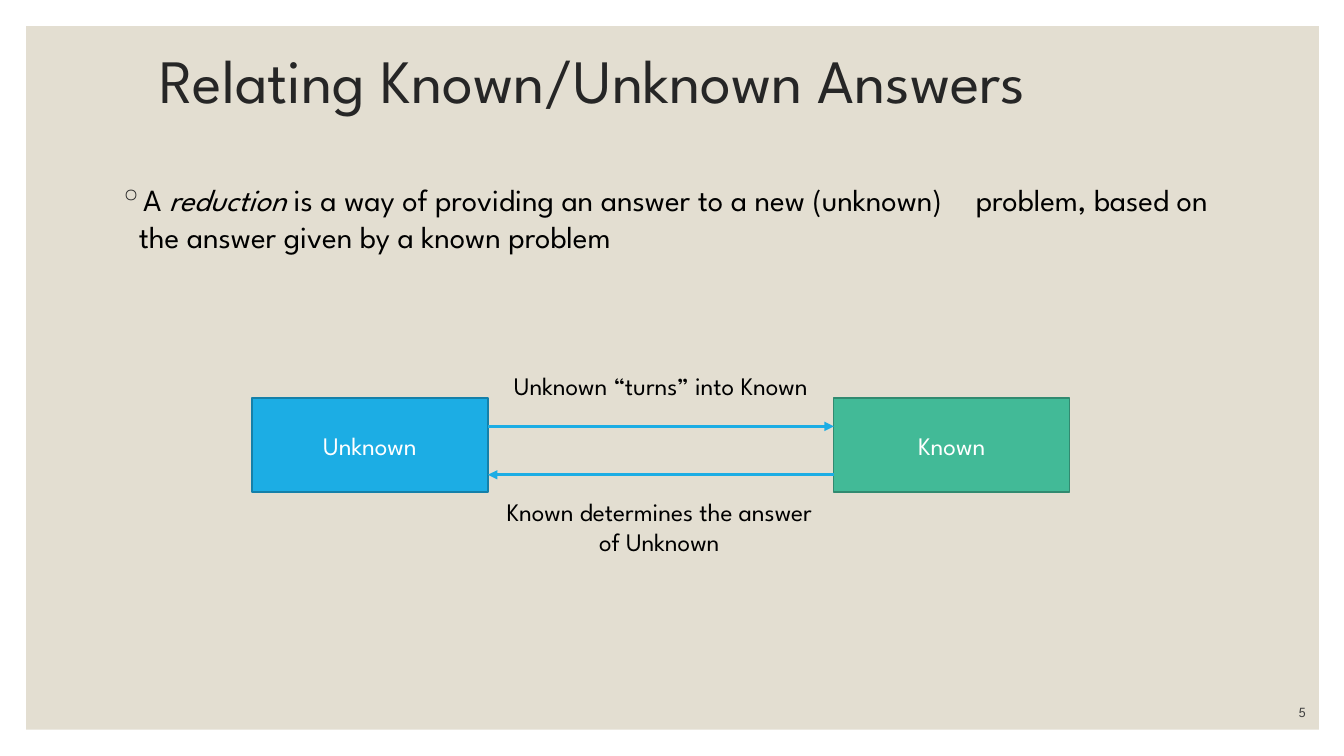
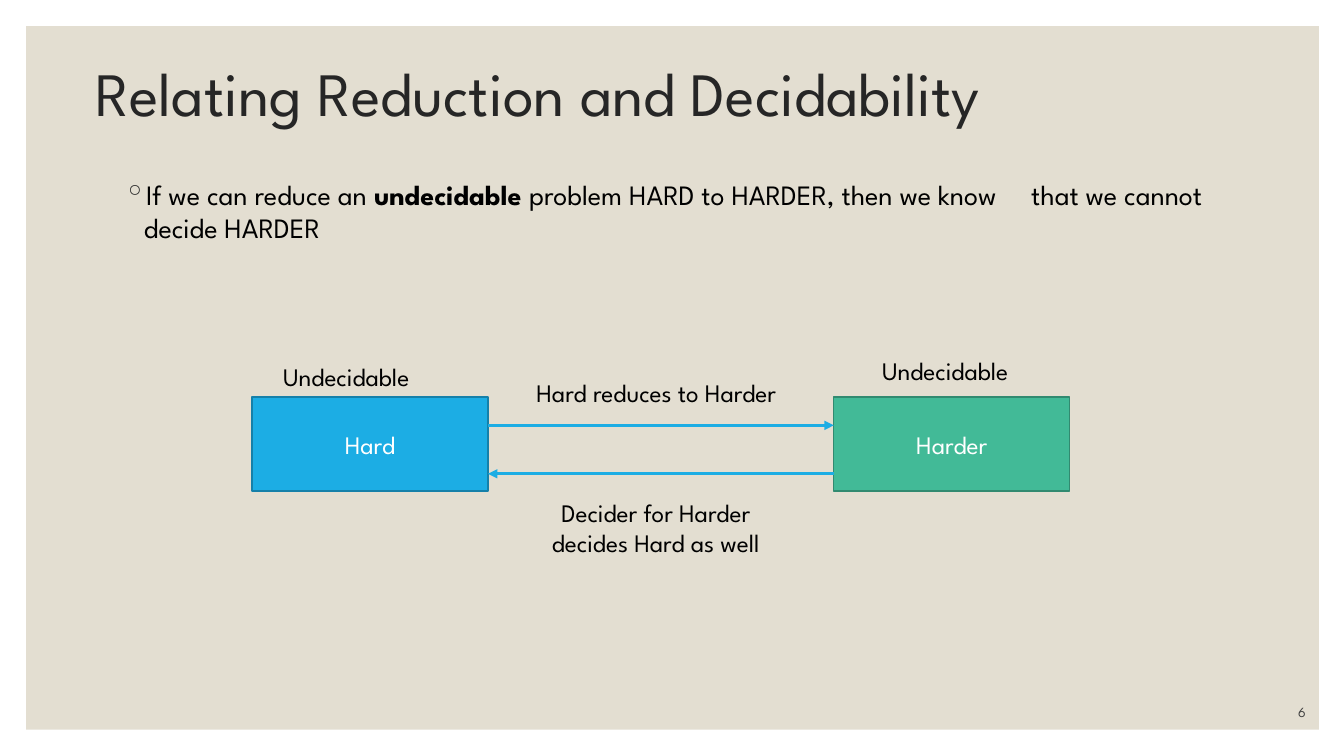
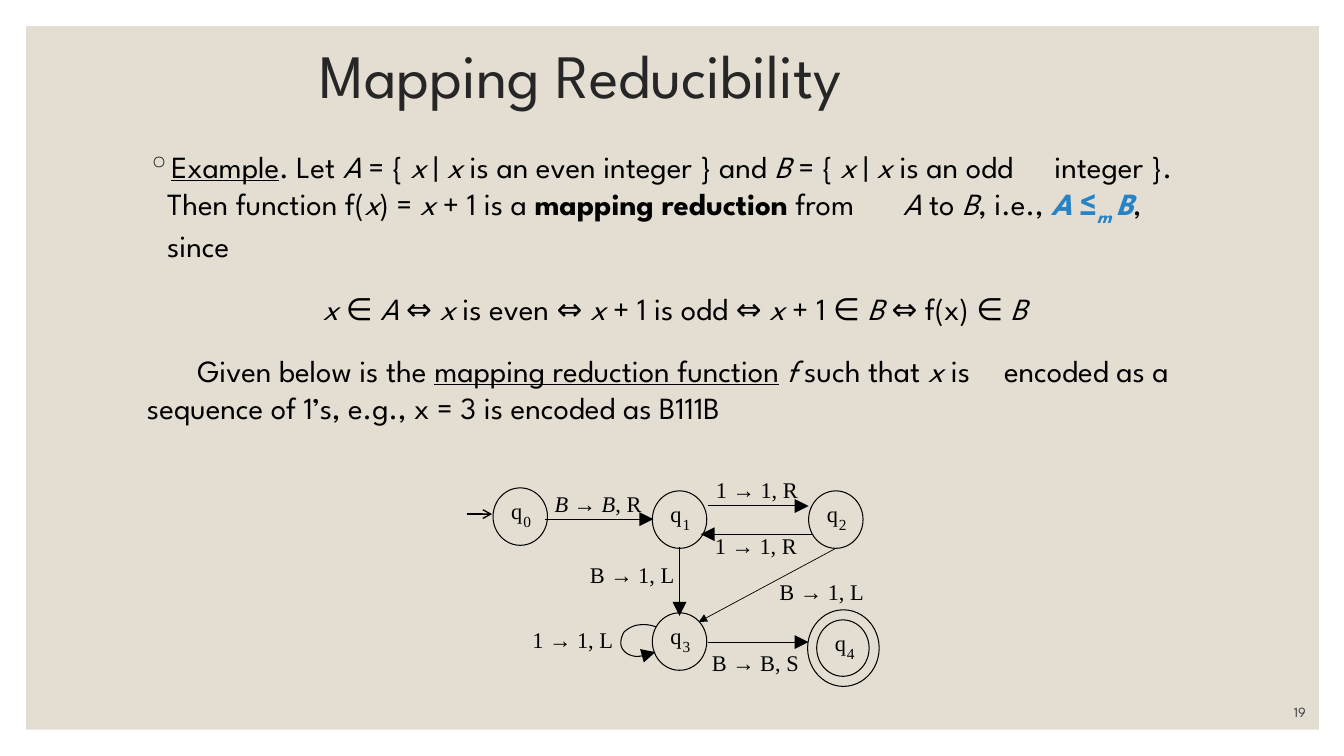
from pptx import Presentation
from pptx.dml.color import RGBColor
from pptx.enum.shapes import MSO_CONNECTOR as Link, MSO_SHAPE as Preset
from pptx.enum.text import MSO_ANCHOR as Anchor, PP_ALIGN as Align
from pptx.oxml.ns import qn
from pptx.util import Emu, Pt
from lxml.etree import SubElement

PX = 9144  # 100 px to the inch
SANS, SERIF = "League Spartan", "Times New Roman"
BLACK, WHITE, INK, GREY = "000000", "FFFFFF", "262626", "404040"
SAND, ACCENT = "E3DED1", "2683C6"
BLUE, BLUE_EDGE = "1CADE4", "1580A9"
GREEN, GREEN_EDGE = "42BA97", "318A70"
NODE_W, NODE_H, NODE_STEP = 234, 93, 577
STATE_W, STATE_H = 54, 57


def px(value):
    return Emu(round(value * PX))


def rgb(value):
    return RGBColor.from_string(value)


def set_all(target, values):
    for name, value in values.items():
        setattr(target, name, value)


def add_spans(para, spans, size, color=BLACK, font=SANS):
    """Each span is a string or (string, flags): b, i, u, s subscript, c accent."""
    for item in [spans] if isinstance(spans, str) else spans:
        words, flags = (item, "") if isinstance(item, str) else item
        span = para.add_run()
        span.text = words
        look = {"name": font, "size": Pt(size)}
        for flag, name in (("b", "bold"), ("i", "italic"), ("u", "underline")):
            if flag in flags:
                look[name] = True
        set_all(span.font, look)
        span.font.color.rgb = rgb(ACCENT if "c" in flags else color)
        if "s" in flags:
            span.font._element.set("baseline", "-25000")


def add_text(page, box, spans, size, color=BLACK, font=SANS, align=Align.LEFT,
             anchor=Anchor.TOP, tight=False, spacing=None):
    """A tight box has no margins and does not wrap."""
    frame = page.shapes.add_textbox(*map(px, box)).text_frame
    set_all(frame, {"word_wrap": not tight, "vertical_anchor": anchor})
    if tight:
        sides = ("left", "top", "right", "bottom")
        set_all(frame, {f"margin_{side}": 0 for side in sides})
    para = frame.paragraphs[0]
    set_all(para, {"alignment": align, "line_spacing": spacing})
    add_spans(para, spans, size, color, font)


def add_shape(page, preset, box, fill=None, edge=None, width=1):
    shape = page.shapes.add_shape(preset, *map(px, box))
    paint(shape, fill, edge, width)
    return shape


def paint(shape, fill, edge, width):
    shape.shadow.inherit = False
    if fill:
        shape.fill.solid()
        shape.fill.fore_color.rgb = rgb(fill)
    else:
        shape.fill.background()
    if edge:
        shape.line.color.rgb = rgb(edge)
        shape.line.width = Pt(width)
    else:
        shape.line.fill.background()


def add_head(shape, head, size):
    line = shape.element.spPr.find(qn("a:ln"))
    SubElement(line, qn("a:tailEnd"), type=head, w=size, len=size)


def add_arrow(page, start, end, color, width, head="triangle", size="med"):
    arrow = page.shapes.add_connector(Link.STRAIGHT, *map(px, (*start, *end)))
    arrow.line.color.rgb = rgb(color)
    arrow.line.width = Pt(width)
    add_head(arrow, head, size)
    SubElement(arrow.element.spPr, qn("a:effectLst"))


def add_page(deck, title, title_box, number):
    page = deck.slides.add_slide(deck.slide_layouts[6])
    add_shape(page, Preset.RECTANGLE, (26, 26, 1282, 698), SAND)
    add_text(page, title_box, title, 44, INK, anchor=Anchor.MIDDLE, spacing=0.9)
    add_text(page, (1145, 690, 160, 30), str(number), 10, GREY,
             align=Align.RIGHT, anchor=Anchor.BOTTOM)
    return page


def add_bullet(para):
    props = para._p.get_or_add_pPr()
    props.set("marL", str(px(20)))
    props.set("indent", str(px(-20)))
    color = SubElement(props, qn("a:buClr"))
    SubElement(color, qn("a:srgbClr"), val=INK)
    SubElement(props, qn("a:buChar"), char="◦")


def add_body(page, box, size, paras):
    """The first paragraph has a bullet; each one is (format values, spans)."""
    frame = page.shapes.add_textbox(*map(px, box)).text_frame
    frame.word_wrap = True
    for index, (values, spans) in enumerate(paras):
        para = frame.add_paragraph() if index else frame.paragraphs[0]
        set_all(para, values)
        if index == 0:
            add_bullet(para)
        add_spans(para, spans, size)


def add_reduction(page, left, top, names, labels):
    """Two nodes joined both ways; labels are placed relative to the first node."""
    colors = ((BLUE, BLUE_EDGE), (GREEN, GREEN_EDGE))
    for index, (name, (fill, edge)) in enumerate(zip(names, colors)):
        box = (left + index * NODE_STEP, top, NODE_W, NODE_H)
        node = add_shape(page, Preset.RECTANGLE, box, fill, edge)
        node.text_frame.vertical_anchor = Anchor.MIDDLE
        para = node.text_frame.paragraphs[0]
        para.alignment = Align.CENTER
        add_spans(para, name, 18, WHITE)
    near, far = left + NODE_W, left + NODE_STEP
    add_arrow(page, (near, top + 28), (far, top + 28), BLUE, 2.25)
    add_arrow(page, (far, top + 76), (near, top + 76), BLUE, 2.25)
    for (x, y, width, height), words, align in labels:
        add_text(page, (left + x, top + y, width, height), words, 18, align=align)


def add_state(page, left, top, digit, width=STATE_W, height=STATE_H):
    add_shape(page, Preset.OVAL, (left, top, width, height), None, BLACK, 0.75)
    for x, y, w, h, letter, size in ((18, 9, 12, 30, "q", 16),
                                     (30, 24, 8, 20, str(digit), 11)):
        add_text(page, (left + x, top + y, w, h), letter, size, font=SERIF, tight=True)


def curve_points(start, curves, steps=8):
    """Points along a chain of cubic curves, without the start."""
    points = []
    for curve in curves:
        a, b, c, d = start, *curve
        for step in range(1, steps + 1):
            t = step / steps
            s = 1 - t
            points.append(tuple(
                s**3 * a[k] + 3 * s * s * t * b[k] + 3 * s * t * t * c[k] + t**3 * d[k]
                for k in (0, 1)))
        start = curve[-1]
    return points


def add_loop(page, left, top):
    start = (188, 150)
    curves = (((182, 148), (176, 147), (171, 148)),
              ((166, 148), (159, 152), (156, 155)),
              ((154, 158), (151, 166), (154, 171)),
              ((156, 175), (160, 178), (166, 179)),
              ((169, 180), (174, 179), (187, 175)))
    outline = page.shapes.build_freeform(*map(px, start), scale=1.0)
    points = [tuple(map(px, point)) for point in curve_points(start, curves)]
    outline.add_line_segments(points, close=False)
    loop = outline.convert_to_shape(px(left), px(top))
    paint(loop, None, BLACK, 0.75)
    add_head(loop, "triangle", "lg")


def add_machine(page, left, top):
    def place(point):
        return left + point[0], top + point[1]

    for digit, spot in enumerate(((26, 12), (184, 15), (339, 15), (184, 136))):
        add_state(page, *place(spot), digit)
    add_state(page, *place((347, 143)), 4, 52, 56)
    add_shape(page, Preset.OVAL, (*place((338, 133)), 71, 76), None, BLACK, 0.75)

    for start, end in (((78, 43), (185, 43)), ((239, 30), (339, 30)),
                       ((342, 58), (232, 58)), ((211, 71), (211, 139)),
                       ((239, 165), (339, 165))):
        add_arrow(page, place(start), place(end), BLACK, 0.75, size="lg")
    add_arrow(page, place((0, 38)), place((25, 38)), BLACK, 1, "arrow")
    add_arrow(page, place((366, 72)), place((230, 145)), BLACK, 0.5)
    add_loop(page, left, top)

    first_move = [("B", "i"), " → ", ("B", "i"), ", R"]
    for spot, width, words in (((87, 14), 90, first_move),
                               ((247, 0), 82, "1 → 1, R"),
                               ((246, 56), 82, "1 → 1, R"),
                               ((122, 85), 85, "B → 1, L"),
                               ((310, 102), 85, "B → 1, L"),
                               ((65, 149), 81, "1 → 1, L"),
                               ((243, 172), 88, "B → B, S")):
        add_text(page, (*place(spot), width, 27), words, 16, font=SERIF, tight=True)


def add_answers_page(deck):
    page = add_page(deck, "Relating Known/Unknown Answers", (148, 35, 1040, 96), 5)
    add_body(page, (108, 174, 1100, 430), 22, [({"space_before": Pt(9)}, [
        "A ", ("reduction", "i"),
        " is a way of providing an answer to a new (unknown) \tproblem, "
        "based on the answer given by a known problem"])])
    add_reduction(page, 250, 395, ("Unknown", "Known"), (
        ((223, -33, 365, 40), "Unknown “turns” into Known", Align.CENTER),
        ((239, 92, 330, 71), "Known determines the answer of Unknown", Align.CENTER)))


def add_decidability_page(deck):
    page = add_page(deck, "Relating Reduction and Decidability", (85, 54, 1158, 83), 6)
    add_body(page, (113, 171, 1100, 430), 20, [({"space_before": Pt(24)}, [
        "If we can reduce an ", ("undecidable ", "b"),
        "problem HARD to HARDER, then we know \tthat we cannot decide HARDER"])])
    add_reduction(page, 250, 394, ("Hard", "Harder"), (
        ((239, -25, 324, 40), "Hard reduces to Harder", Align.CENTER),
        ((264, 94, 273, 71), "Decider for Harder decides Hard as well", Align.CENTER),
        ((21, -40, 183, 40), "Undecidable", Align.LEFT),
        ((615, -46, 186, 40), "Undecidable", Align.LEFT)))


def add_mapping_page(deck):
    page = add_page(deck, "Mapping Reducibility", (307, 27, 717, 102), 19)
    a, b, x = ("A", "i"), ("B", "i"), ("x", "i")
    example = [
        ("Example", "u"), ". Let ", a, " = { ", x, " | ", x,
        " is an even integer } and ", b, " = { ", x, " | ", x,
        " is an odd \tinteger }. Then function f(", x, ") = ", x, " + 1 is a ",
        ("mapping reduction", "b"), " from \t", a, " to ", b, ", i.e., ",
        ("A", "bic"), (" ≤", "bc"), ("m ", "bics"), ("B", "bic"), ", since"]
    chain = [
        x, " ∈ ", ("A ", "i"), "⇔ ", x, " is even ⇔", (" x", "i"),
        " + 1 is odd ⇔ ", ("x ", "i"), "+ 1 ∈ ", ("B ", "i"), "⇔ f(x) ∈ ", b]
    encoding = [
        "\tGiven below is the ", ("mapping reduction function", "u"), " ",
        ("f", "i"), " such that ", x,
        " is \tencoded as a sequence of 1’s, e.g., x = 3 is encoded as B111B"]
    add_body(page, (136, 142, 1067, 292), 22, [
        ({"space_before": Pt(9), "space_after": Pt(18)}, example),
        ({"alignment": Align.CENTER}, chain),
        ({"space_before": Pt(18)}, encoding)])
    add_machine(page, 463, 472)


def main():
    deck = Presentation()
    set_all(deck, {"slide_width": px(1333), "slide_height": px(750)})
    for add_slide in (add_answers_page, add_decidability_page, add_mapping_page):
        add_slide(deck)
    deck.save("out.pptx")


if __name__ == "__main__":
    main()
